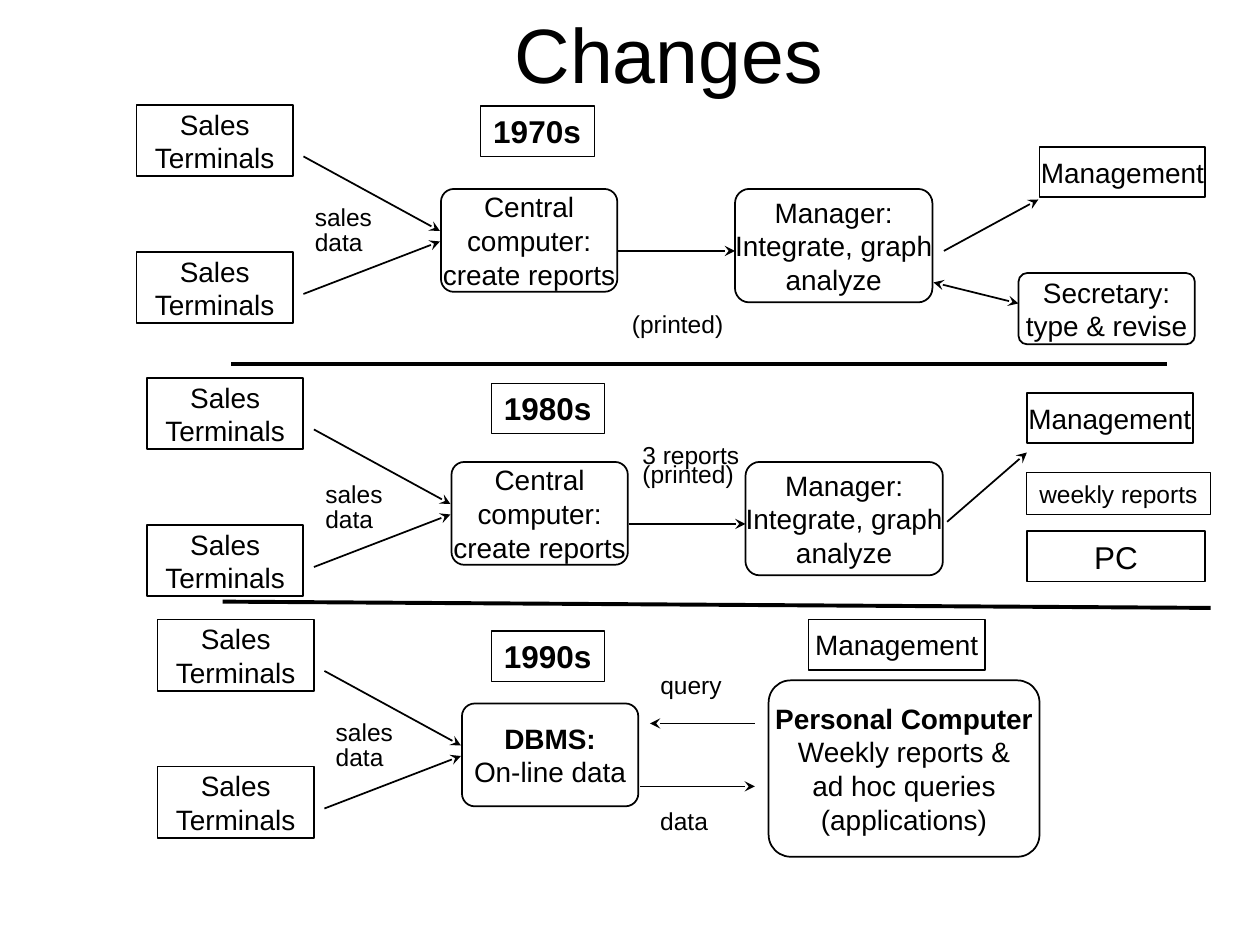
from lxml.etree import SubElement
from pptx import Presentation
from pptx.dml.color import RGBColor
from pptx.enum.shapes import MSO_CONNECTOR, MSO_SHAPE
from pptx.enum.text import MSO_ANCHOR, MSO_AUTO_SIZE, PP_ALIGN
from pptx.oxml.ns import qn
from pptx.util import Inches, Pt

BLACK = RGBColor(0, 0, 0)
COLUMNS, ROWS = 120, 90
TERMINAL, COMPUTER, MANAGER = (14.9, 6.8), (16.8, 9.8), (18.8, 10.8)
TAG = (10.8, 4.8)
REPORTING = ["Central", "computer:", "create reports"]
ANALYSIS = ["Manager:", "Integrate, graph", "analyze"]


class Diagram:
    """Places styled elements on a slide; lengths are grid columns and rows."""

    centred = {"vertical_anchor": MSO_ANCHOR.MIDDLE, "word_wrap": False}
    fitted = {"vertical_anchor": MSO_ANCHOR.TOP, "word_wrap": False,
              "auto_size": MSO_AUTO_SIZE.SHAPE_TO_FIT_TEXT}

    def __init__(self, presentation):
        self.slide = presentation.slides.add_slide(presentation.slide_layouts[5])
        self.column = presentation.slide_width / COLUMNS
        self.row = presentation.slide_height / ROWS

    def across(self, columns):
        return round(columns * self.column)

    def down(self, rows):
        return round(rows * self.row)

    def area(self, left, top, width, height):
        return (self.across(left), self.down(top),
                self.across(width), self.down(height))

    def set_text(self, shape, lines, size, frame, align, bold_lines=0):
        text_frame = shape.text_frame
        for name, value in frame.items():
            setattr(text_frame, name, value)
        text_frame.text = "\n".join(lines)
        for index, paragraph in enumerate(text_frame.paragraphs):
            paragraph.alignment = align
            font = {"name": "Arial", "size": Pt(size), "bold": index < bold_lines}
            for name, value in font.items():
                setattr(paragraph.font, name, value)
            paragraph.font.color.rgb = BLACK

    def title(self, text, *place):
        shape = self.slide.shapes.title
        shape.left, shape.top, shape.width, shape.height = self.area(*place)
        self.set_text(shape, [text], 44, {"vertical_anchor": MSO_ANCHOR.MIDDLE},
                      PP_ALIGN.CENTER)

    def outline(self, kind, place, weight):
        shape = self.slide.shapes.add_shape(kind, *self.area(*place))
        shape.shadow.inherit = False
        shape.fill.background()
        shape.line.color.rgb = BLACK
        shape.line.width = Pt(weight)
        return shape

    def box(self, lines, left, top, width, height, size=16):
        shape = self.outline(MSO_SHAPE.RECTANGLE, (left, top, width, height), 1)
        self.set_text(shape, lines, size, self.centred, PP_ALIGN.CENTER)

    def rounded_box(self, lines, left, top, width, height, bold_lines=0):
        shape = self.outline(MSO_SHAPE.ROUNDED_RECTANGLE,
                             (left, top, width, height), 1)
        shape.adjustments[0] = 0.125
        self.set_text(shape, lines, 16, self.centred, PP_ALIGN.CENTER, bold_lines)

    def tag(self, text, left, top, width, height, size=18, bold=True):
        shape = self.outline(MSO_SHAPE.RECTANGLE, (left, top, width, height), 0.75)
        self.set_text(shape, [text], size, self.fitted, PP_ALIGN.LEFT, int(bold))

    def label(self, text, left, top, width):
        shape = self.slide.shapes.add_textbox(*self.area(left, top, width, 4))
        self.set_text(shape, [text], 14, self.fitted, PP_ALIGN.LEFT)

    def line(self, start, end, weight=1, arrows=("tailEnd",)):
        """Draw a straight line; "headEnd" is its start and "tailEnd" its end."""
        connector = self.slide.shapes.add_connector(
            MSO_CONNECTOR.STRAIGHT, self.across(start[0]), self.down(start[1]),
            self.across(end[0]), self.down(end[1]))
        connector.line.color.rgb = BLACK
        connector.line.width = Pt(weight)
        properties = connector.line._get_or_add_ln()
        for arrow in arrows:
            SubElement(properties, qn("a:" + arrow), type="stealth")
        SubElement(connector._element.spPr, qn("a:effectLst"))

    def era(self, year, left, top, year_at, label_row, computer, bold_lines=0):
        """Draw the terminals that feed a computer, under the name of a decade."""
        self.tag(year, *year_at, *TAG)
        for text, shift, width in (("sales", 0, 7.9), ("data", 2.4, 7)):
            self.label(text, left + 15.8, label_row + shift, width)
        for terminal_row, start_row, end_row in ((0, 4.9, 12), (14, 18, 13)):
            self.box(["Sales", "Terminals"], left, top + terminal_row, *TERMINAL)
            self.line((left + 15.9, top + start_row), (left + 28.9, top + end_row))
        self.rounded_box(computer, left + 29, top + 8, *COMPUTER, bold_lines)

    def manager(self, left, top):
        """Draw the manager of an era and the reports that reach him."""
        self.rounded_box(ANALYSIS, left + 57, top + 8, *MANAGER)
        self.line((left + 45.9, top + 13.9), (left + 57, top + 13.9))


def main():
    presentation = Presentation()
    presentation.slide_width, presentation.slide_height = Inches(10), Inches(7.5)
    diagram = Diagram(presentation)
    diagram.title("Changes", 12.7, 0, 102, 10)
    diagram.line((111.1, 34.7), (22, 34.7), 2.25, ())
    diagram.line((115.3, 57.9), (21.2, 57.3), 2.25, ())

    diagram.era("1970s", 13, 10, (45.8, 10.1), 18.6, REPORTING)
    diagram.manager(13, 10)
    diagram.label("(printed)", 59, 28.8, 11.2)
    diagram.box(["Management"], 99, 14, 15.8, 4.8)
    diagram.rounded_box(["Secretary:", "type & revise"], 97, 26, 16.8, 6.8)
    diagram.line((89.9, 23.9), (98.9, 19))
    diagram.line((88.9, 26.9), (97, 28.9), arrows=("headEnd", "tailEnd"))

    diagram.era("1980s", 14, 36, (46.8, 36.5), 45, REPORTING)
    diagram.manager(14, 36)
    diagram.label("3 reports", 60, 41.3, 11.6)
    diagram.label("(printed)", 60, 43.1, 11.2)
    diagram.box(["Management"], 97.8, 37.4, 15.8, 4.8)
    diagram.tag("weekly reports", 97.8, 45, 17.5, 4, size=14, bold=False)
    diagram.box(["PC"], 97.8, 50.6, 17, 4.8, size=18)
    diagram.line((90.2, 49.7), (97.8, 43.1))

    diagram.era("1990s", 15, 59, (46.8, 60.1), 67.7,
                ["DBMS:", "On-line data"], bold_lines=1)
    diagram.box(["Management"], 77, 59, 16.8, 4.8)
    diagram.rounded_box(["Personal Computer", "Weekly reports &",
                         "ad hoc queries", "(applications)"],
                        73.2, 64.8, 25.8, 16.8, bold_lines=1)
    diagram.label("query", 61.7, 63.2, 8.3)
    diagram.line((71.9, 68.9), (61.9, 68.9))
    diagram.line((61, 74.9), (71.9, 74.9))
    diagram.label("data", 61.7, 76.2, 7)

    presentation.save("out.pptx")


if __name__ == "__main__":
    main()
